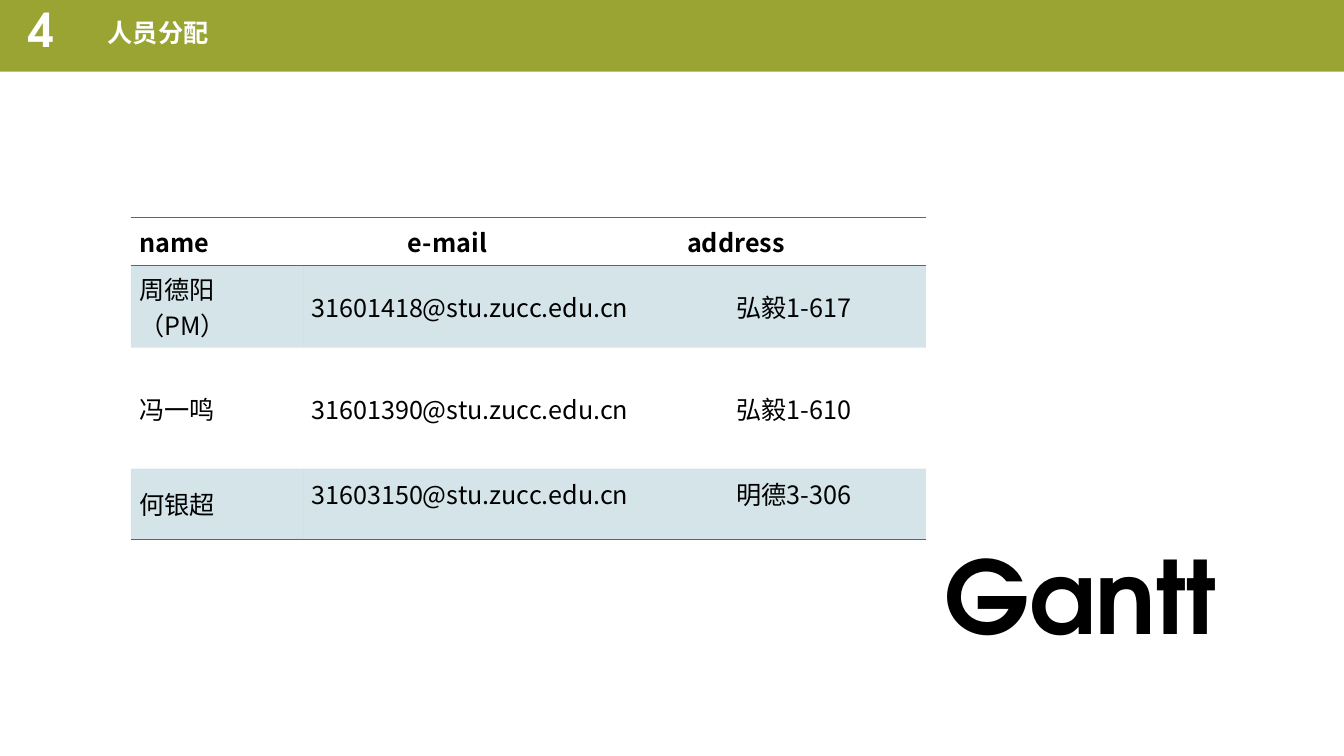
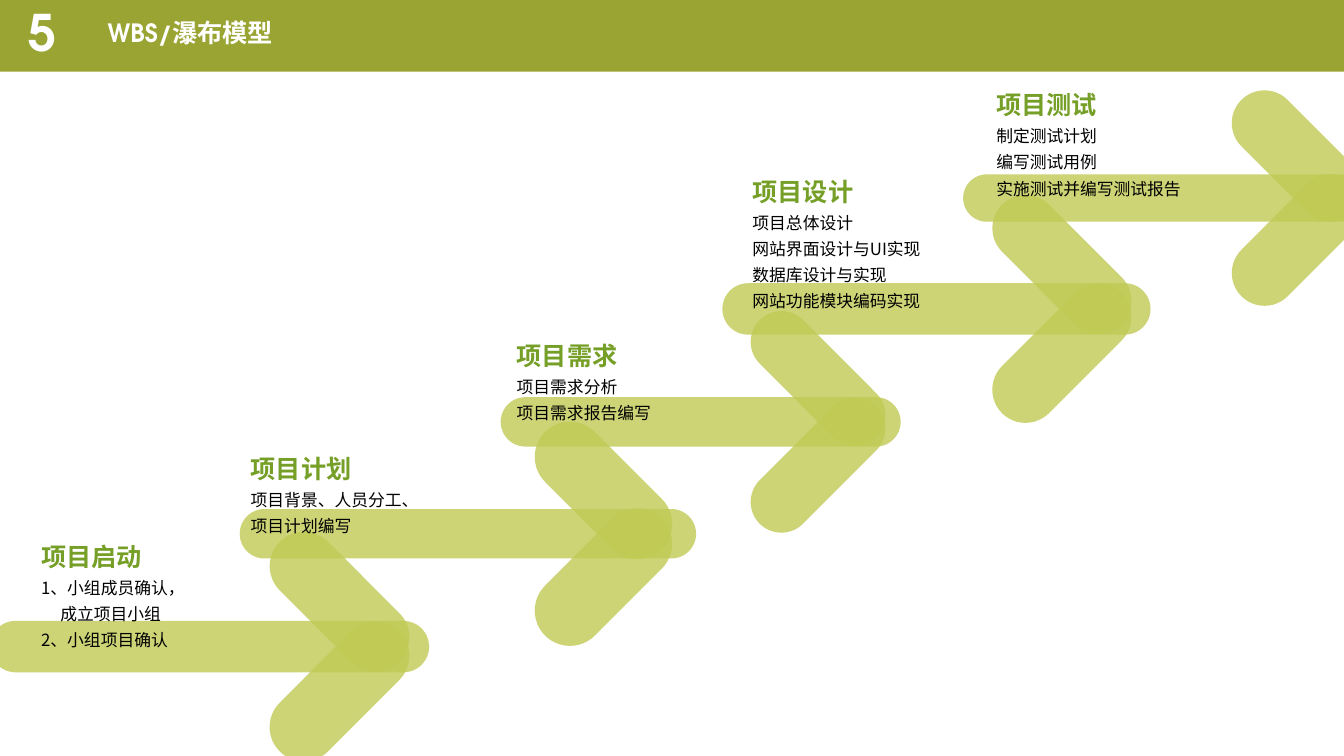
"""Build the staffing table and waterfall model slides."""
from dataclasses import dataclass
from typing import NamedTuple

from lxml.etree import SubElement as Sub
from pptx import Presentation
from pptx.dml.color import RGBColor as RGB
from pptx.enum.shapes import MSO_SHAPE as SHAPE
from pptx.enum.text import MSO_ANCHOR as ANCHOR, PP_ALIGN as ALIGN
from pptx.oxml.ns import qn
from pptx.util import Inches, Length, Pt


@dataclass(frozen=True)
class Theme:
    band: str = "9AA433"
    arrow: str = "C0CA54"
    heading: str = "769F27"
    table: str = "2C7892"
    ink: str = "000000"
    paper: str = "FFFFFF"
    latin: str = "TeX Gyre Adventor"
    cjk: str = "Noto Sans CJK SC"
    title_size: float = 18
    body_size: float = 12
    display_size: float = 72


class Box(NamedTuple):
    col: float
    row: float
    cols: float
    rows: float


class Wing(NamedTuple):
    col: float
    cols: float
    rows: float
    spread: float


class Line(NamedTuple):
    text: str
    indent: float = 0


@dataclass(frozen=True)
class Phase:
    title: str
    lines: tuple[Line, ...]
    label: Box
    bar: Box
    wing: Wing


@dataclass(frozen=True)
class Row:
    name: str
    details: str
    rows: float
    tabs: tuple[float, ...] = (42.2,)
    header: bool = False
    shaded: bool = False
    lift: float = 0


T = Theme()
GRID = Box(0, 0, 133.4, 75)
BAND = Box(0, 0, 133.4, 7.1)
NUMBER = Box(1.8, 0.9, 7.9, 5.2)
TITLE = Box(9.7, 1.6, 41.8, 4)
TABLE = Box(13, 21.6, 78.9, 31.9)
NAME_COLS = 17.1
GANTT = Box(92, 52.5, 30.5, 13)

STAFF = (
    Row("name", "\te-mail\taddress", 4.7, (9.6, 37.3), header=True),
    Row("周德阳（PM）", "31601418@stu.zucc.edu.cn\t弘毅1-617", 8.2, shaded=True),
    Row("冯一鸣", "31601390@stu.zucc.edu.cn\t弘毅1-610", 12),
    Row("何银超", "31603150@stu.zucc.edu.cn\t明德3-306", 7, shaded=True, lift=2),
)

PHASES = (
    Phase("项目启动",
          (Line("1、小组成员确认，"), Line("成立项目小组", 1.9), Line("2、小组项目确认")),
          Box(3.1, 52.3, 23.5, 12.7), Box(-1, 61.6, 43.6, 5.1), Wing(25.3, 16.8, 6.8, 8.9)),
    Phase("项目计划",
          (Line("项目背景、人员分工、"), Line("项目计划编写")),
          Box(23.9, 43.6, 23.5, 10.1), Box(23.8, 50.5, 45.3, 4.9), Wing(51.7, 16.4, 7, 8.6)),
    Phase("项目需求",
          (Line("项目需求分析"), Line("项目需求报告编写")),
          Box(50.3, 32.4, 23.5, 10.1), Box(49.7, 39.4, 39.7, 4.9), Wing(73, 16.4, 6.1, 8.6)),
    Phase("项目设计",
          (Line("项目总体设计"), Line("网站界面设计与UI实现"),
           Line("数据库设计与实现"), Line("网站功能模块编码实现")),
          Box(73.7, 16.1, 23.5, 15.3), Box(71.7, 28.1, 42.5, 5.1), Wing(97, 16.8, 6.6, 8.8)),
    Phase("项目测试",
          (Line("制定测试计划"), Line("编写测试用例"), Line("实施测试并编写测试报告")),
          Box(97.9, 7.5, 23.5, 12.7), Box(95.6, 17.3, 41.8, 4.7), Wing(120.9, 15.8, 6.5, 8.3)),
)


def cells(n: float) -> Length:
    """Turn grid cells, a tenth of an inch each, into a length."""
    return Inches(n / 10)


def place(box: Box) -> tuple[Length, ...]:
    """Turn a grid box into left, top, width and height."""
    return tuple(cells(n) for n in box)


def write(tf, text: str, *, size: float = T.title_size, color: str = T.ink,
          font: str = T.cjk, bold: bool = False, spacing: float = 1.0,
          align: ALIGN = ALIGN.LEFT, tabs: tuple[float, ...] = (),
          indent: float = 0) -> None:
    """Add one formatted paragraph to a text frame."""
    p = tf.paragraphs[0]
    if p.runs:
        p = tf.add_paragraph()
    p.alignment, p.line_spacing = align, spacing
    pPr = p._p.get_or_add_pPr()
    if indent:
        pPr.set("marL", str(cells(indent)))
    if tabs:
        stops = Sub(pPr, qn("a:tabLst"))
        for pos in tabs:
            Sub(stops, qn("a:tab"), pos=str(cells(pos)), algn="l")
    r = p.add_run()
    r.text = text
    r.font.size, r.font.bold, r.font.name = Pt(size), bold, font
    r.font.color.rgb = RGB.from_string(color)
    Sub(r._r.get_or_add_rPr(), qn("a:ea"), typeface=T.cjk)


def add_text(s, box: Box, *, wrap: bool = True, anchor: ANCHOR = ANCHOR.TOP):
    """Add an empty text box and return its text frame."""
    tf = s.shapes.add_textbox(*place(box)).text_frame
    tf.word_wrap, tf.vertical_anchor = wrap, anchor
    return tf


def tint(fill, element, color: str, alpha: int = 100) -> None:
    """Apply a solid fill of the given opacity in percent."""
    fill.solid()
    fill.fore_color.rgb = RGB.from_string(color)
    if alpha < 100:
        clr = element.find(f"{qn('a:solidFill')}/{qn('a:srgbClr')}")
        Sub(clr, qn("a:alpha"), val=str(alpha * 1000))


def add_block(shapes, kind: SHAPE, box: Box, color: str, alpha: int = 100,
              rotation: float = 0) -> None:
    """Add a plain filled shape, fully rounded where it has corners."""
    sp = shapes.add_shape(kind, *place(box))
    sp.shadow.inherit = False
    sp.line.fill.background()
    tint(sp.fill, sp.element.spPr, color, alpha)
    sp.rotation = rotation
    if kind == SHAPE.ROUNDED_RECTANGLE:
        sp.adjustments[0] = 0.5


def add_page(prs, number: str, title: str, number_size: float, spacing: float):
    """Add a blank slide with the title band."""
    s = prs.slides.add_slide(prs.slide_layouts[6])
    add_block(s.shapes, SHAPE.RECTANGLE, BAND, T.band)
    style = dict(color=T.paper, font=T.latin, bold=True)
    write(add_text(s, NUMBER, anchor=ANCHOR.MIDDLE), number,
          size=number_size, spacing=spacing, **style)
    write(add_text(s, TITLE), title, spacing=0.9, **style)
    return s


def add_borders(cell, top: bool, bottom: bool) -> None:
    """Draw the chosen horizontal borders and clear the others."""
    tcPr = cell._tc.get_or_add_tcPr()
    for side, shown in (("L", False), ("R", False), ("T", top), ("B", bottom)):
        ln = Sub(tcPr, qn(f"a:ln{side}"), w=str(Pt(0.45)))
        if shown:
            Sub(Sub(ln, qn("a:solidFill")), qn("a:srgbClr"), val=T.table)
        else:
            Sub(ln, qn("a:noFill"))


def add_staff(s) -> None:
    """Add the staff table."""
    tbl = s.shapes.add_table(len(STAFF), 2, *place(TABLE)).table
    tbl.first_row = tbl.horz_banding = False
    for col, width in zip(tbl.columns, (NAME_COLS, TABLE.cols - NAME_COLS)):
        col.width = cells(width)
    for i, row in enumerate(STAFF):
        tbl.rows[i].height = cells(row.rows)
        for j, text in enumerate((row.name, row.details)):
            cell = tbl.cell(i, j)
            cell.vertical_anchor = ANCHOR.MIDDLE
            cell.margin_left = cell.margin_right = cells(0.8)
            cell.margin_top = cells(0.5)
            cell.margin_bottom = cells(0.5 + row.lift * j)
            add_borders(cell, i < 2, i in (0, len(STAFF) - 1))
            if row.shaded:
                tint(cell.fill, cell._tc.tcPr, T.table, 20)
            else:
                cell.fill.background()
            write(cell.text_frame, text, bold=row.header, tabs=row.tabs if j else ())


def add_arrow(s, phase: Phase) -> None:
    """Add a grouped arrow: a bar and two wings centred on it."""
    bar, wing = phase.bar, phase.wing
    shapes = s.shapes.add_group_shape().shapes
    add_block(shapes, SHAPE.ROUNDED_RECTANGLE, bar, T.arrow, 80)
    for side in (-1, 1):
        mid = bar.row + bar.rows / 2 + side * wing.spread / 2
        box = Box(wing.col, mid - wing.rows / 2, wing.cols, wing.rows)
        add_block(shapes, SHAPE.ROUNDED_RECTANGLE, box, T.arrow, 80, -45 * side)


def add_label(s, phase: Phase) -> None:
    """Add the heading and tasks of a phase."""
    tf = add_text(s, phase.label)
    write(tf, phase.title, color=T.heading, bold=True, spacing=1.3)
    for line in phase.lines:
        write(tf, line.text, size=T.body_size, spacing=1.3, indent=line.indent)


def main() -> None:
    """Build and save both slides."""
    prs = Presentation()
    prs.slide_width, prs.slide_height = cells(GRID.cols), cells(GRID.rows)

    s = add_page(prs, "4", "人员分配", 33.3, 0.7)
    add_staff(s)
    write(add_text(s, GANTT, wrap=False), "Gantt", size=T.display_size,
          font=T.latin, bold=True, align=ALIGN.CENTER)

    s = add_page(prs, "5", "WBS/瀑布模型", 36, 0.9)
    for draw in (add_arrow, add_label):
        for phase in PHASES:
            draw(s, phase)

    prs.save("out.pptx")


if __name__ == "__main__":
    main()
